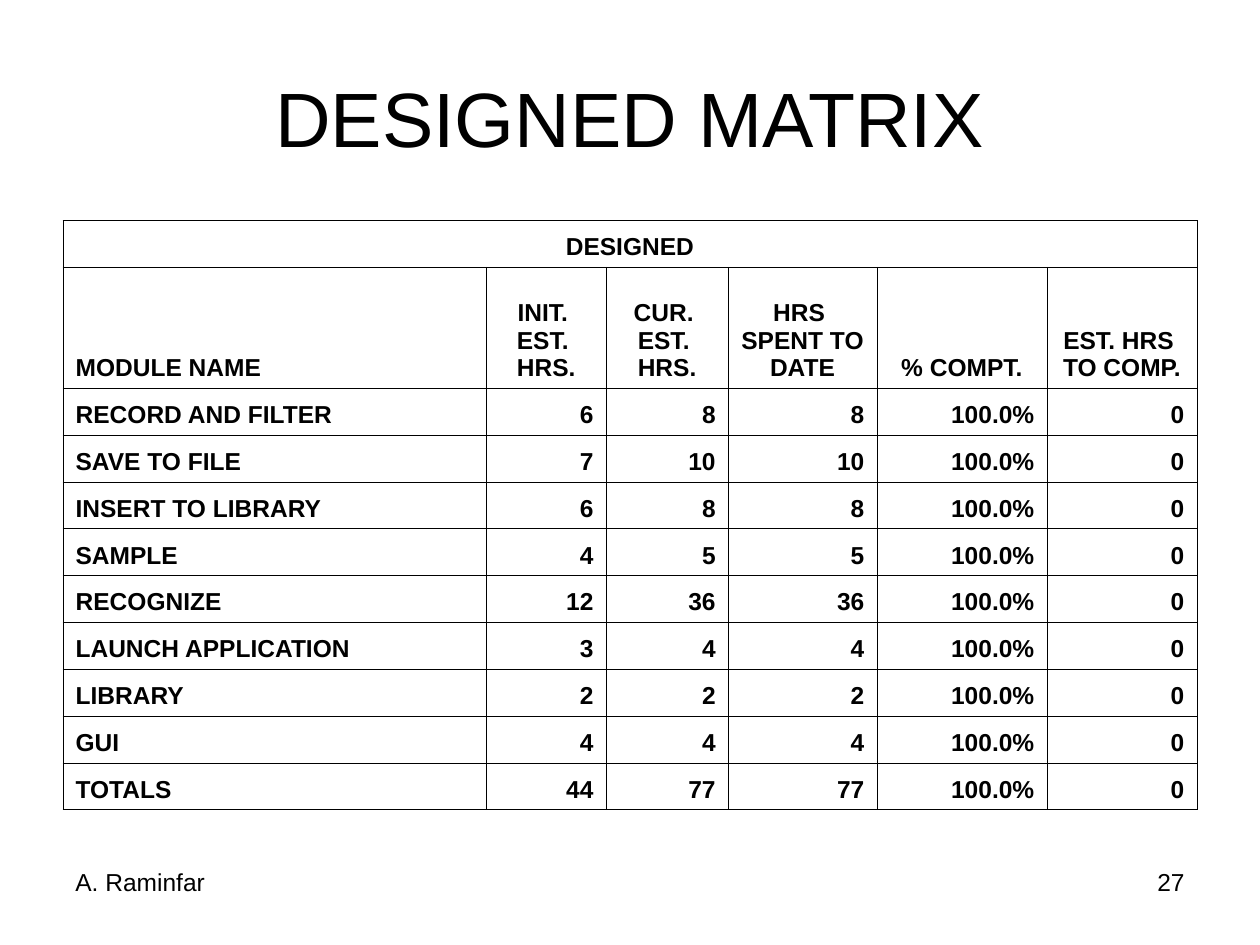
from dataclasses import dataclass

from lxml.etree import SubElement
from pptx import Presentation
from pptx.dml.color import RGBColor
from pptx.enum.text import MSO_ANCHOR, MSO_AUTO_SIZE, PP_ALIGN
from pptx.oxml.ns import qn
from pptx.util import Inches, Pt


@dataclass(frozen=True)
class Theme:
    font: str = "Arial"
    ink: str = "000000"
    title_size: int = 44
    body_size: int = 14
    border_width: float = 0.45


THEME = Theme()

COLUMN_WIDTHS = [3.36, 0.95, 0.97, 1.18, 1.35, 1.19]
HEADER_HEIGHT = 0.96
HEADERS = [
    "MODULE NAME",
    "INIT. \nEST. \nHRS.",
    "CUR. \nEST. \nHRS.",
    "HRS \nSPENT TO \nDATE",
    "% COMPT.",
    "EST. HRS \nTO COMP.",
]
# Module, initial estimate, current estimate, hours spent
MODULES = [
    ("RECORD AND FILTER", 6, 8, 8),
    ("SAVE TO FILE", 7, 10, 10),
    ("INSERT TO LIBRARY", 6, 8, 8),
    ("SAMPLE", 4, 5, 5),
    ("RECOGNIZE", 12, 36, 36),
    ("LAUNCH APPLICATION", 3, 4, 4),
    ("LIBRARY", 2, 2, 2),
    ("GUI", 4, 4, 4),
]


def format_text(text_frame, size, alignment, bold=False):
    for paragraph in text_frame.paragraphs:
        paragraph.alignment = alignment
        for run in paragraph.runs:
            run.font.name = THEME.font
            run.font.size = Pt(size)
            run.font.bold = bold
            run.font.color.rgb = RGBColor.from_string(THEME.ink)


def add_title(slide, text, left, top, width, height):
    title = slide.shapes.title
    title.left, title.top = Inches(left), Inches(top)
    title.width, title.height = Inches(width), Inches(height)
    title.text_frame.text = text
    title.text_frame.auto_size = MSO_AUTO_SIZE.NONE
    title.text_frame.vertical_anchor = MSO_ANCHOR.MIDDLE
    format_text(title.text_frame, THEME.title_size, PP_ALIGN.CENTER)


def set_borders(cell):
    properties = cell._tc.get_or_add_tcPr()
    for side in ("a:lnL", "a:lnR", "a:lnT", "a:lnB"):
        line = SubElement(properties, qn(side), w=str(int(Pt(THEME.border_width))))
        fill = SubElement(line, qn("a:solidFill"))
        SubElement(fill, qn("a:srgbClr"), val=THEME.ink)


def fill_cell(cell, text, alignment):
    cell.text_frame.text = text
    cell.vertical_anchor = MSO_ANCHOR.BOTTOM
    format_text(cell.text_frame, THEME.body_size, alignment, bold=True)


def matrix_rows():
    """Return the module rows and the totals row, with the derived columns."""
    totals = [sum(column) for column in list(zip(*MODULES))[1:]]
    rows = []
    for name, initial, current, spent in [*MODULES, ("TOTALS", *totals)]:
        rows.append([name, initial, current, spent,
                     f"{spent / current:.1%}", current - spent])
    return rows


def add_matrix(slide, left, top, width, height):
    body = matrix_rows()
    row_count = len(body) + 2
    table = slide.shapes.add_table(
        row_count, len(HEADERS),
        Inches(left), Inches(top), Inches(width), Inches(height),
    ).table
    table.first_row = table.horz_banding = False

    for column, column_width in zip(table.columns, COLUMN_WIDTHS):
        column.width = Inches(column_width)
    for row in table.rows:
        row.height = Inches((height - HEADER_HEIGHT) / (row_count - 1))
    table.rows[1].height = Inches(HEADER_HEIGHT)
    for cell in table.iter_cells():
        set_borders(cell)
        cell.fill.background()

    table.cell(0, 0).merge(table.cell(0, len(HEADERS) - 1))
    fill_cell(table.cell(0, 0), "DESIGNED", PP_ALIGN.CENTER)
    for row_index, values in enumerate([HEADERS, *body], start=1):
        value_alignment = PP_ALIGN.CENTER if row_index == 1 else PP_ALIGN.RIGHT
        for column_index, value in enumerate(values):
            alignment = value_alignment if column_index else PP_ALIGN.LEFT
            fill_cell(table.cell(row_index, column_index), str(value), alignment)


def add_footer(slide, author, number, left, top, width, height):
    """Place the author at the left end of the box and the number at the right."""
    item_width = 2.33
    items = [
        (author, left, PP_ALIGN.LEFT),
        (number, left + width - item_width, PP_ALIGN.RIGHT),
    ]
    for text, item_left, alignment in items:
        box = slide.shapes.add_textbox(
            Inches(item_left), Inches(top), Inches(item_width), Inches(height))
        box.text_frame.word_wrap = True
        box.text_frame.text = text
        format_text(box.text_frame, THEME.body_size, alignment)


def main():
    presentation = Presentation()
    presentation.slide_width, presentation.slide_height = Inches(10), Inches(7.5)
    slide = presentation.slides.add_slide(
        presentation.slide_layouts.get_by_name("Title Only"))
    add_title(slide, "DESIGNED MATRIX", 0.5, 0.3, 9, 1.25)
    add_matrix(slide, 0.5, 1.75, 9, 4.68)
    add_footer(slide, "A. Raminfar", "27", 0.5, 6.83, 9, 0.52)
    presentation.save("out.pptx")


if __name__ == "__main__":
    main()
